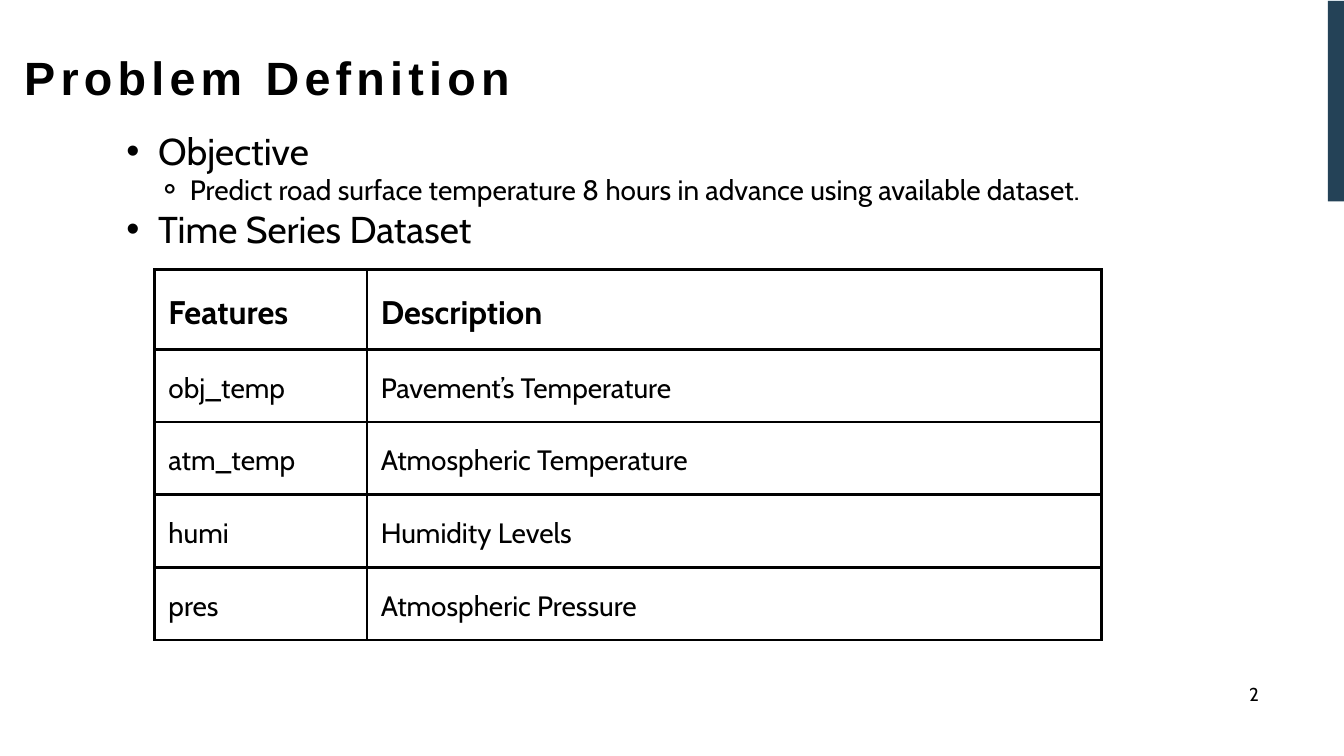
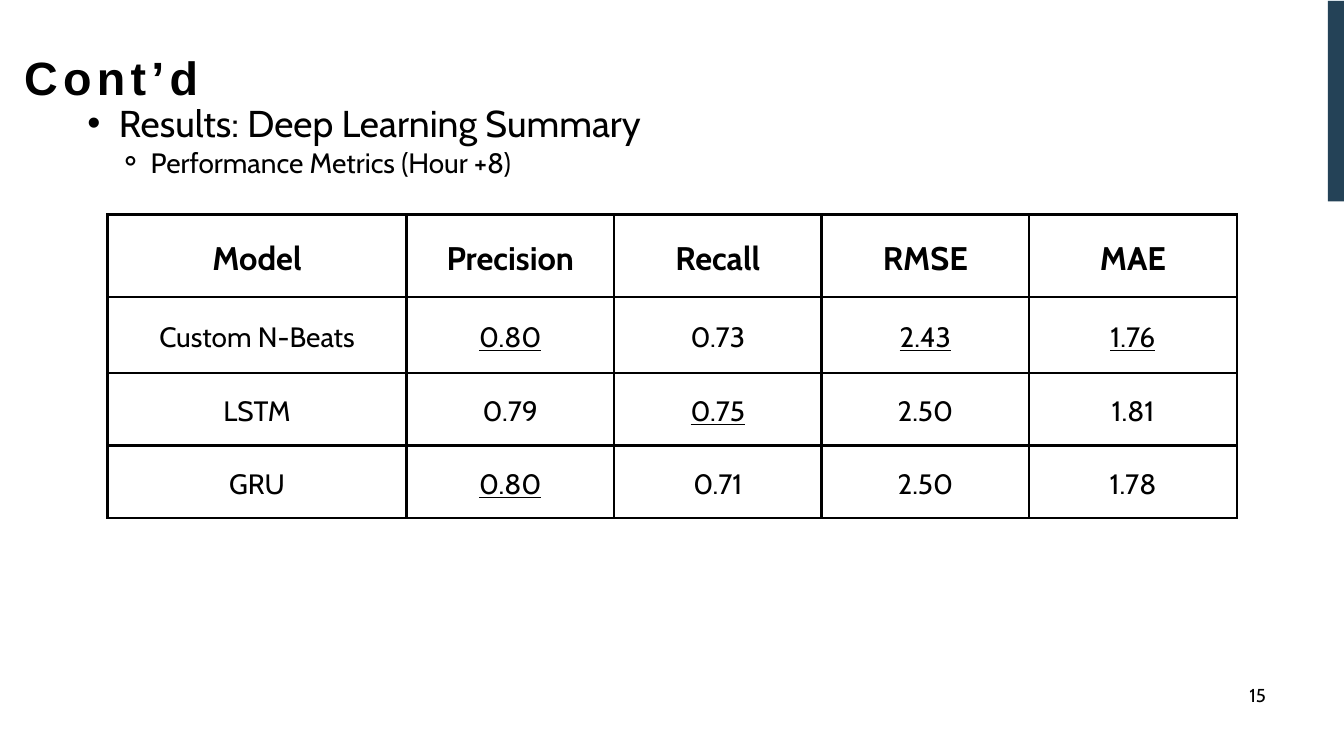
from lxml import etree
from pptx import Presentation
from pptx.dml.color import RGBColor
from pptx.enum import shapes, text
from pptx.oxml.ns import qn
from pptx.util import Pt

COLORS = {"ink": "000000", "accent": "244257", "pale": "F1FAFF", "paper": "FFFFFF"}
HEADING_FONT, BODY_FONT = "Arial", "Cabin"
ALIGN = text.PP_ALIGN
INDENT = 34
CELL_MARGIN = 15

features = [
    ["Features", "Description"],
    ["obj_temp", "Pavement’s Temperature"],
    ["atm_temp", "Atmospheric Temperature"],
    ["humi", "Humidity Levels"],
    ["pres", "Atmospheric Pressure"],
]
metrics = [
    ["Model", "Precision", "Recall", "RMSE", "MAE"],
    ["Custom N-Beats", "0.80", "0.73", "2.43", "1.76"],
    ["LSTM", "0.79", "0.75", "2.50", "1.81"],
    ["GRU", "0.80", "0.71", "2.50", "1.78"],
]
best_scores = {
    name: (max if name in ("Precision", "Recall") else min)(scores)
    for name, *scores in list(zip(*metrics))[1:]
}

pages = [
    {
        "title": "Problem Defnition",
        "number": "2",
        "number_box": (1338.5, 731.5, 28, 58),
        "outline_box": (101.5, 137, 1185, 131),
        "outline": [
            (1, "Objective"),
            (2, "Predict road surface temperature 8 hours in advance using available dataset."),
            (1, "Time Series Dataset"),
        ],
        "table": features,
        "table_at": (165.5, 288.5),
        "columns": [227.5, 787],
        "rows": [86] + [77.8] * 4,
        "header_align": ALIGN.JUSTIFY,
        "body_align": ALIGN.LEFT,
        "best": {},
    },
    {
        "title": "Cont’d",
        "number": "15",
        "number_box": (1338.5, 733, 37.5, 77),
        "outline_box": (59.5, 107.5, 960.5, 84),
        "outline": [
            (1, "Results: Deep Learning Summary"),
            (2, "Performance Metrics (Hour +8)"),
        ],
        "table": metrics,
        "table_at": (115.2, 229.7),
        "columns": [320.4] + [222.4] * 4,
        "rows": [88.6, 81.4, 77.8, 77.8],
        "header_align": ALIGN.CENTER,
        "body_align": ALIGN.CENTER,
        "best": best_scores,
    },
]


def write(frame, words, size, leading, font=BODY_FONT, bold=False, underline=False,
          align=ALIGN.LEFT, spacing=0, level=0):
    paragraph = frame.add_paragraph() if frame.text else frame.paragraphs[0]
    if level:
        paragraph.level = level
        properties = paragraph._p.get_or_add_pPr()
        properties.set("marL", str(Pt(INDENT * (level + 1))))
        properties.set("indent", str(-Pt(INDENT)))
        etree.SubElement(properties, qn("a:buFont"), typeface=HEADING_FONT)
        etree.SubElement(properties, qn("a:buChar"), char="•⚬"[level - 1])
    paragraph.alignment = align
    paragraph.line_spacing = Pt(leading)
    run = paragraph.add_run()
    run.text = words
    run.font.name = font
    run.font.size = Pt(size)
    run.font.bold = bold
    run.font.underline = underline
    run.font.color.rgb = RGBColor.from_string(COLORS["ink"])
    if spacing:
        run._r.get_or_add_rPr().set("spc", str(round(spacing * 100)))


def add_text_frame(slide, box):
    frame = slide.shapes.add_textbox(*map(Pt, box)).text_frame
    frame.word_wrap = True
    frame.margin_left = frame.margin_right = frame.margin_top = frame.margin_bottom = 0
    return frame


presentation = Presentation()
presentation.slide_width = Pt(1440)
presentation.slide_height = Pt(810)

for page in pages:
    slide = presentation.slides.add_slide(presentation.slide_layouts[6])
    slide.background.fill.solid()
    slide.background.fill.fore_color.rgb = RGBColor.from_string(COLORS["paper"])

    for color, top in (("pale", 0), ("accent", 1)):
        band = slide.shapes.add_shape(
            shapes.MSO_SHAPE.RECTANGLE, Pt(1422.7), Pt(top), Pt(17.3), Pt(214.8))
        band.shadow.inherit = False
        band.fill.solid()
        band.fill.fore_color.rgb = RGBColor.from_string(COLORS[color])
        band.line.fill.background()

    write(add_text_frame(slide, page["number_box"]), page["number"], size=20, leading=24)
    write(add_text_frame(slide, (26, 52, 1260, 77)), page["title"], size=50, leading=60,
          font=HEADING_FONT, bold=True, spacing=5.6)

    columns, rows = page["columns"], page["rows"]
    left, top = page["table_at"]
    table = slide.shapes.add_table(
        len(rows), len(columns), Pt(left), Pt(top), Pt(sum(columns)), Pt(sum(rows))).table
    table.first_row = table.horz_banding = False
    for column, width in zip(table.columns, columns):
        column.width = Pt(width)
    for row, height in zip(table.rows, rows):
        row.height = Pt(height)

    for row_index, entries in enumerate(page["table"]):
        header = row_index == 0
        for column_index, entry in enumerate(entries):
            cell = table.cell(row_index, column_index)
            cell.margin_left = cell.margin_right = Pt(CELL_MARGIN)
            cell.margin_top = cell.margin_bottom = Pt(CELL_MARGIN)
            cell.vertical_anchor = text.MSO_ANCHOR.MIDDLE
            for side in ("lnL", "lnR", "lnT", "lnB"):
                border = etree.SubElement(
                    cell._tc.get_or_add_tcPr(), qn("a:" + side), w=str(Pt(3)))
                border_fill = etree.SubElement(border, qn("a:solidFill"))
                etree.SubElement(border_fill, qn("a:srgbClr"), val=COLORS["ink"])
            cell.fill.background()
            write(cell.text_frame, entry,
                  size=35 if header else 30,
                  leading=49 if header else 42,
                  bold=header,
                  underline=page["best"].get(page["table"][0][column_index]) == entry,
                  align=page["header_align"] if header else page["body_align"])

    outline = add_text_frame(slide, page["outline_box"])
    outline.auto_size = text.MSO_AUTO_SIZE.SHAPE_TO_FIT_TEXT
    for level, words in page["outline"]:
        write(outline, words, level=level,
              size=40 if level == 1 else 30, leading=48 if level == 1 else 36)

presentation.save("out.pptx")
